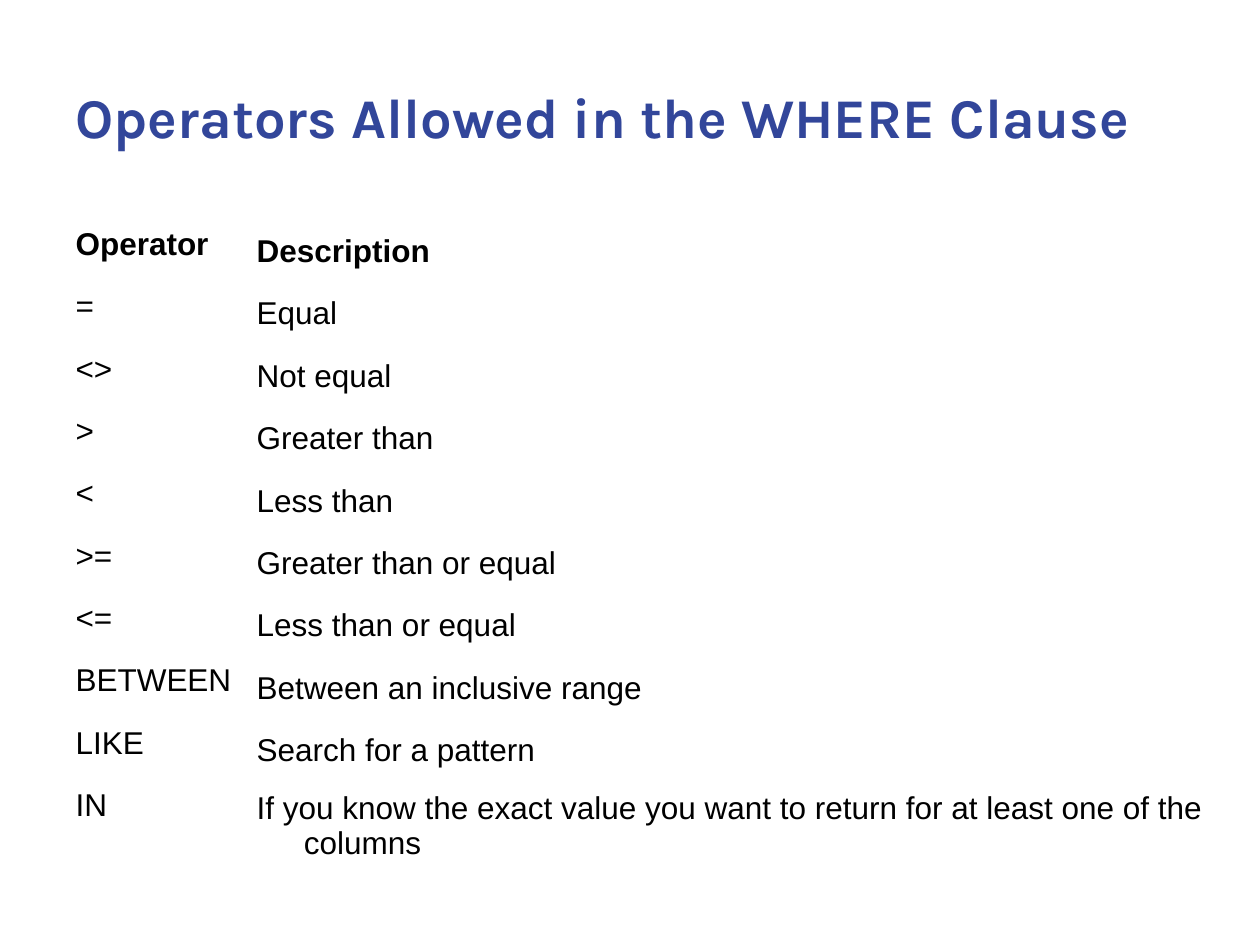
from pptx import Presentation
from pptx.dml.color import RGBColor
from pptx.enum.text import MSO_ANCHOR
from pptx.util import Pt


def add_span(para, text, font, size, color, bold):
    span = para.add_run()
    span.text = text
    span.font.name = font
    span.font.size = Pt(size)
    span.font.bold = bold
    span.font.color.rgb = RGBColor.from_string(color)


OPERATORS = [
    ("Operator", "Description"),
    ("=", "Equal"),
    ("<>", "Not equal"),
    (">", "Greater than"),
    ("<", "Less than"),
    (">=", "Greater than or equal"),
    ("<=", "Less than or equal"),
    ("BETWEEN", "Between an inclusive range"),
    ("LIKE", "Search for a pattern"),
    ("IN", "If you know the exact value you want to return "
           "for at least one of the columns"),
]
ROW_HEIGHT = 35.65
COLUMN_WIDTHS = (103.5, 556)

deck = Presentation()
deck.slide_width, deck.slide_height = Pt(720), Pt(540)
page = deck.slides.add_slide(deck.slide_layouts[6])

# Title
box = page.shapes.add_textbox(Pt(36), Pt(21.6), Pt(648), Pt(90))
box.text_frame.word_wrap = True
box.text_frame.vertical_anchor = MSO_ANCHOR.MIDDLE
add_span(box.text_frame.paragraphs[0], "Operators Allowed in the WHERE Clause",
         "Karla", 32, "32469A", True)

# Operator table
table = page.shapes.add_table(
    len(OPERATORS), 2, Pt(36), Pt(126),
    Pt(sum(COLUMN_WIDTHS)), Pt(ROW_HEIGHT * len(OPERATORS))).table
table.first_row = False
table.horz_banding = False
for column, width in zip(table.columns, COLUMN_WIDTHS):
    column.width = Pt(width)

for row_index, entries in enumerate(OPERATORS):
    table.rows[row_index].height = Pt(ROW_HEIGHT)
    for column_index, text in enumerate(entries):
        cell = table.cell(row_index, column_index)
        cell.fill.background()
        cell.vertical_anchor = MSO_ANCHOR.MIDDLE if column_index else MSO_ANCHOR.TOP
        para = cell.text_frame.paragraphs[0]
        # Hanging indent for wrapped lines
        properties = para._p.get_or_add_pPr()
        properties.set("marL", str(Pt(27)))
        properties.set("indent", str(Pt(-27)))
        add_span(para, text, "Arial", 18, "000000", row_index == 0)

# Plain table style without grid lines
style = table._tbl.tblPr.find(
    "{http://schemas.openxmlformats.org/drawingml/2006/main}tableStyleId")
style.text = "{2D5ABB26-0587-4C30-8999-92F81FD0307C}"

deck.save("out.pptx")
